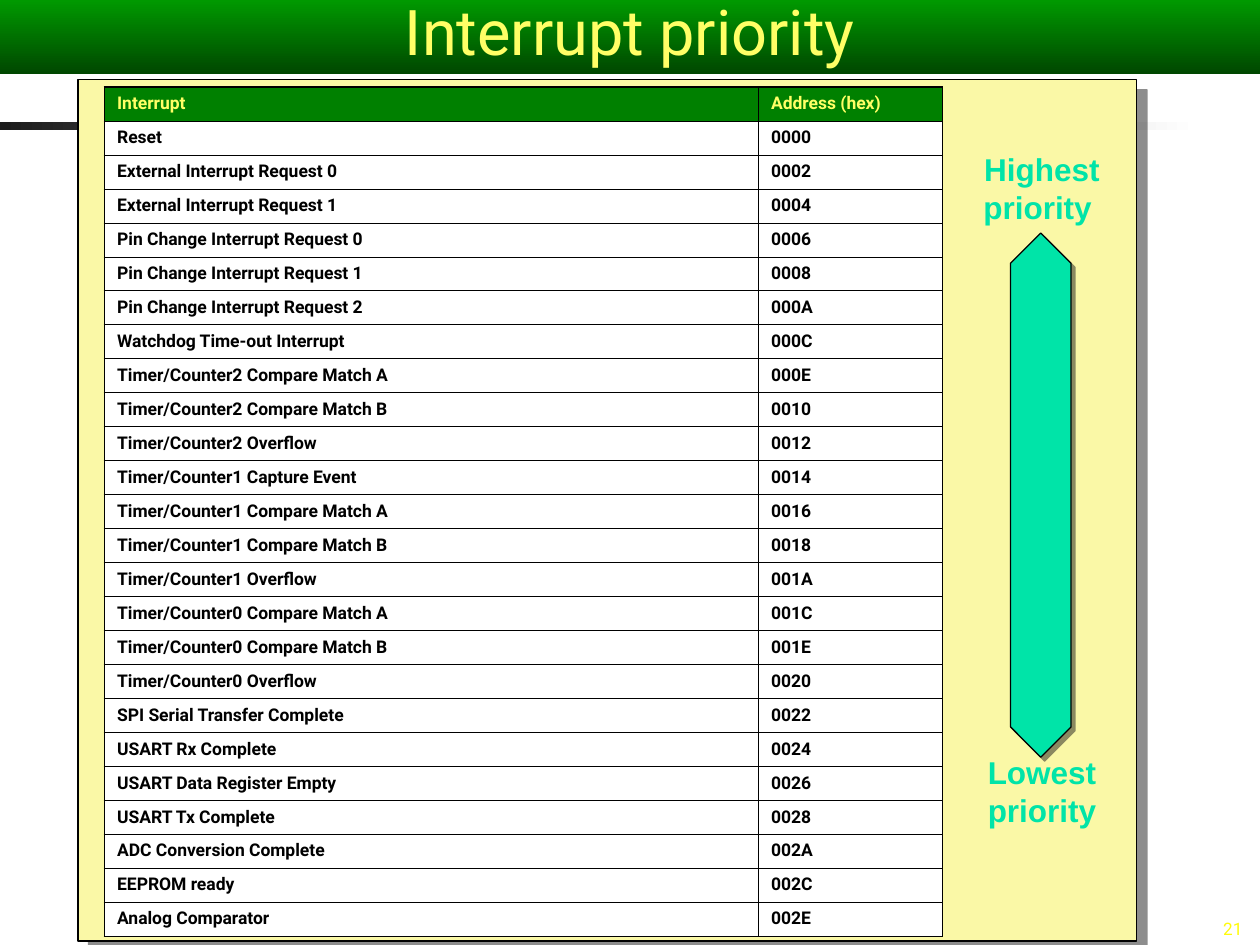
from lxml.etree import SubElement
from pptx import Presentation
from pptx.dml.color import RGBColor
from pptx.enum.shapes import MSO_SHAPE as SHAPE
from pptx.enum.text import MSO_ANCHOR as ANCHOR, PP_ALIGN as ALIGN
from pptx.oxml import parse_xml
from pptx.oxml.ns import nsdecls, qn
from pptx.util import Inches, Pt

COLORS = {
    "black": "000000", "white": "FFFFFF", "shadow": "1C1C1C",
    "band_top": "009900", "band_bottom": "004700",
    "header": "008000", "heading": "FFFF66",
    "panel": "FAF8A6", "mint": "00E4A8", "number": "FFFB0B",
}

# Listed from highest to lowest priority; vectors are two words apart
INTERRUPTS = [
    "Reset",
    "External Interrupt Request 0",
    "External Interrupt Request 1",
    "Pin Change Interrupt Request 0",
    "Pin Change Interrupt Request 1",
    "Pin Change Interrupt Request 2",
    "Watchdog Time-out Interrupt",
    "Timer/Counter2 Compare Match A",
    "Timer/Counter2 Compare Match B",
    "Timer/Counter2 Overflow",
    "Timer/Counter1 Capture Event",
    "Timer/Counter1 Compare Match A",
    "Timer/Counter1 Compare Match B",
    "Timer/Counter1 Overflow",
    "Timer/Counter0 Compare Match A",
    "Timer/Counter0 Compare Match B",
    "Timer/Counter0 Overflow",
    "SPI Serial Transfer Complete",
    "USART Rx Complete",
    "USART Data Register Empty",
    "USART Tx Complete",
    "ADC Conversion Complete",
    "EEPROM ready",
    "Analog Comparator",
]


def rgb(name):
    return RGBColor.from_string(COLORS[name])


def shadow_effect(dist):
    return parse_xml(
        f'<a:effectLst {nsdecls("a")}>'
        f'<a:outerShdw blurRad="0" dist="{Pt(dist)}" dir="2700000" algn="ctr" rotWithShape="0">'
        f'<a:srgbClr val="{COLORS["shadow"]}"><a:alpha val="50000"/></a:srgbClr>'
        '</a:outerShdw></a:effectLst>')


def write(tf, text, size, color, font="Roboto", bold=False, align=ALIGN.LEFT):
    """Fill a text frame with one formatted paragraph and return it."""
    tf.text = text
    tf.word_wrap = True
    p = tf.paragraphs[0]
    p.alignment = align
    r = p.runs[0]
    r.font.size, r.font.name, r.font.bold = Pt(size), font, bold
    r.font.color.rgb = rgb(color)
    return p


def add_gradient_bar(s, box, start, end, angle):
    sp = s.shapes.add_shape(SHAPE.RECTANGLE, *map(Inches, box))
    sp.shadow.inherit = False
    sp.line.fill.background()
    sp.fill.gradient()
    sp.fill.gradient_angle = angle
    for stop, color, position in zip(sp.fill.gradient_stops, (start, end), (0, 1)):
        stop.color.rgb = rgb(color)
        stop.position = position
    return sp


def add_shadowed_shape(s, kind, box, color, dist):
    sp = s.shapes.add_shape(kind, *map(Inches, box))
    sp.fill.solid()
    sp.fill.fore_color.rgb = rgb(color)
    sp.line.color.rgb = rgb("black")
    sp.line.width = Pt(0.75)
    sp._element.spPr.append(shadow_effect(dist))
    return sp


def add_text(s, box, text, size, color, **style):
    tf = s.shapes.add_textbox(*map(Inches, box)).text_frame
    return tf, write(tf, text, size, color, **style)


def add_priority_label(s, box, text):
    tf, p = add_text(s, box, text, 18, "mint", font="Arial", bold=True, align=ALIGN.CENTER)
    fill = p.runs[0]._r.rPr.find(qn("a:solidFill"))
    fill.addnext(shadow_effect(2))


def set_borders(cell, widths):
    """Draw the left, right, top and bottom borders, in that order."""
    tcPr = cell._tc.get_or_add_tcPr()
    for i, (side, width) in enumerate(zip("LRTB", widths)):
        ln = parse_xml(f'<a:ln{side} {nsdecls("a")} w="{Pt(width)}"/>')
        fill = SubElement(ln, qn("a:solidFill"))
        SubElement(fill, qn("a:srgbClr"), val=COLORS["black"])
        tcPr.insert(i, ln)


def add_interrupt_table(s):
    rows = [("Interrupt", "Address (hex)")]
    rows += [(name, f"{2 * i:04X}") for i, name in enumerate(INTERRUPTS)]
    widths, row_height = (5.19, 1.46), 0.27
    thin, thick = 0.45, 1.08
    last = len(rows) - 1
    table = s.shapes.add_table(
        len(rows), 2, Inches(0.83), Inches(0.69),
        Inches(sum(widths)), Inches(row_height * len(rows))).table
    table.horz_banding = False
    for col, width in zip(table.columns, widths):
        col.width = Inches(width)
    for i, texts in enumerate(rows):
        table.rows[i].height = Inches(row_height)
        for j, text in enumerate(texts):
            cell = table.cell(i, j)
            cell.fill.solid()
            cell.fill.fore_color.rgb = rgb("white" if i else "header")
            write(cell.text_frame, text, 10, "black" if i else "heading", bold=True)
            outer = (j == 0, j == 1, i == 0, i == last)
            set_borders(cell, [thick if edge else thin for edge in outer])


def main():
    prs = Presentation()
    prs.slide_width, prs.slide_height = Inches(10), Inches(7.5)
    s = prs.slides.add_slide(prs.slide_layouts[6])

    # Rule and page number
    add_gradient_bar(s, (0, 0.97, 9.51, 0.06), "shadow", "white", 0)
    tf, p = add_text(s, (7.83, 7.22, 2.13, 0.28), "21", 9.8, "number", align=ALIGN.RIGHT)
    tf.vertical_anchor = ANCHOR.BOTTOM
    p.line_spacing = 0.8

    # Title band
    band = add_gradient_bar(s, (0, 0, 10, 0.59), "band_top", "band_bottom", 270)
    band.text_frame.vertical_anchor = ANCHOR.BOTTOM
    write(band.text_frame, "Interrupt priority", 36, "heading", align=ALIGN.CENTER)

    # Panel with the priority arrow and its labels
    add_shadowed_shape(s, SHAPE.RECTANGLE, (0.62, 0.63, 8.4, 6.84), "panel", 8.5)
    arrow = add_shadowed_shape(s, SHAPE.UP_DOWN_ARROW, (8.02, 1.85, 0.48, 4.16), "mint", 3.2)
    arrow.adjustments[0], arrow.adjustments[1] = 0.5, 1.74
    add_priority_label(s, (7.69, 1.14, 1.16, 0.7), "Highest priority ")
    add_priority_label(s, (7.73, 5.93, 1.08, 0.7), "Lowest priority ")

    # Interrupt vectors
    add_interrupt_table(s)

    prs.save("out.pptx")


if __name__ == "__main__":
    main()
